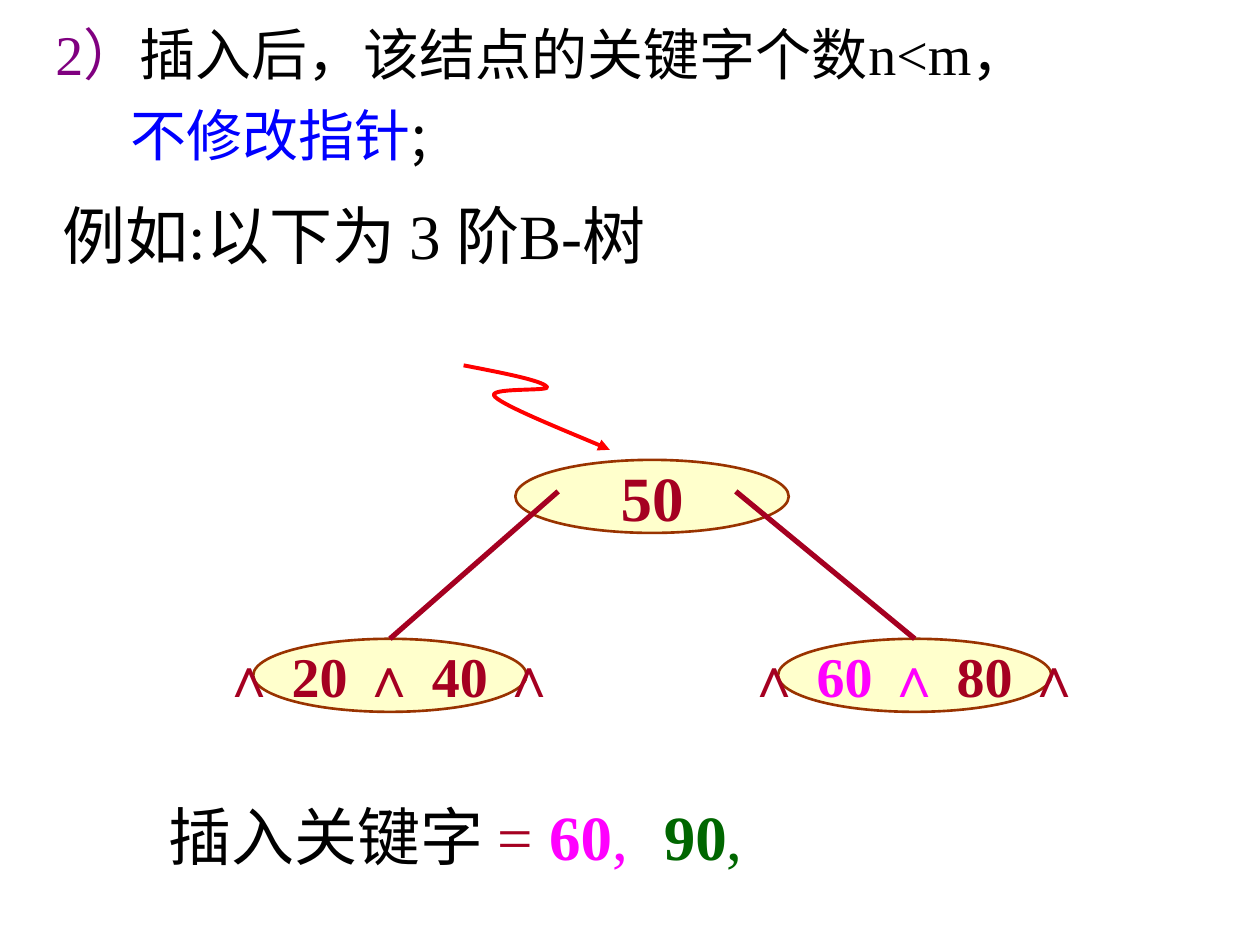
"""Build the slide on inserting a key into a B-tree of order 3."""
from dataclasses import dataclass

from lxml.etree import SubElement
from pptx import Presentation
from pptx.dml.color import RGBColor as Rgb
from pptx.enum.shapes import MSO_CONNECTOR as Link, MSO_SHAPE as Kind
from pptx.enum.text import MSO_ANCHOR as Anchor, MSO_AUTO_SIZE as Fit, PP_ALIGN as Align
from pptx.oxml.ns import qn
from pptx.util import Inches, Pt


@dataclass(frozen=True)
class Theme:
    ink: str = "000000"
    key: str = "A50021"
    new: str = "FF00FF"
    next: str = "006600"
    mark: str = "800080"
    note: str = "0000FF"
    node: str = "FFFFCC"
    rim: str = "993300"
    arrow: str = "FF0000"
    big: int = 36
    mid: int = 32
    latin: str = "Times New Roman"
    asian: str = "Noto Sans CJK SC"


def write(para, text, size, color, latin, asian, bold=False):
    run = para.add_run()
    run.text = text
    font = run.font
    font.size, font.bold, font.name = Pt(size), bold, latin
    font.color.rgb = Rgb.from_string(color)
    SubElement(font._element, qn("a:ea")).set("typeface", asian)


class Board:
    """Draw styled elements on one slide, on a grid of 100 columns and 75 rows."""

    def __init__(self, deck, theme):
        self.theme = theme
        self.cell = deck.slide_width / 100
        self.shapes = deck.slides.add_slide(deck.slide_layouts[6]).shapes

    def grid(self, *spans):
        return [round(span * self.cell) for span in spans]

    def fill(self, para, runs, size):
        for text, color, *more in runs:
            style = {"latin": self.theme.latin, **(more[0] if more else {})}
            write(para, text, size, color, asian=self.theme.asian, **style)

    def text(self, area, lines, size, wrap=False, gap=None, indent=0):
        frame = self.shapes.add_textbox(*self.grid(*area)).text_frame
        frame.word_wrap, frame.auto_size = wrap, Fit.SHAPE_TO_FIT_TEXT
        for row, runs in enumerate(lines):
            para = frame.add_paragraph() if row else frame.paragraphs[0]
            para.line_spacing = gap
            if row and indent:
                para._p.get_or_add_pPr().set("marL", str(self.grid(indent)[0]))
            self.fill(para, runs, size)

    def node(self, mid, top, runs, size, wide=21.7, high=5.8):
        oval = self.shapes.add_shape(Kind.OVAL, *self.grid(mid - wide / 2, top, wide, high))
        oval.shadow.inherit = False
        oval.fill.solid()
        oval.fill.fore_color.rgb = Rgb.from_string(self.theme.node)
        self.stroke(oval.line, self.theme.rim, 1.5)
        frame = oval.text_frame
        frame.word_wrap, frame.vertical_anchor = False, Anchor.MIDDLE
        frame.paragraphs[0].alignment = Align.CENTER
        self.fill(frame.paragraphs[0], runs, size)
        return oval

    def stroke(self, line, color, width):
        line.color.rgb = Rgb.from_string(color)
        line.width = Pt(width)

    def edge(self, start, child):
        ends = self.grid(*start, *start)
        link = self.shapes.add_connector(Link.STRAIGHT, *ends)
        link.end_connect(child, 0)
        self.stroke(link.line, self.theme.key, 3)
        SubElement(link._element.spPr, qn("a:effectLst"))

    def curve(self, start, points):
        pen = self.shapes.build_freeform(*self.grid(*start))
        pen.add_line_segments([self.grid(*point) for point in points], close=False)
        form = pen.convert_to_shape()
        form.shadow.inherit = False
        form.fill.background()
        self.stroke(form.line, self.theme.arrow, 2.25)
        SubElement(form.line._get_or_add_ln(), qn("a:tailEnd")).set("type", "triangle")
        track = next(form._element.iter(qn("a:path")))
        steps = track.findall(qn("a:lnTo"))
        for first in range(0, len(steps), 3):
            bend = SubElement(track, qn("a:cubicBezTo"))
            for step in steps[first:first + 3]:
                bend.append(step[0])
                track.remove(step)


def main():
    deck = Presentation()
    deck.slide_width, deck.slide_height = Inches(10), Inches(7.5)
    look = Theme()
    board = Board(deck, look)
    bold = {"bold": True}

    board.text((4, 15.1, 48.4, 7), [[("例如:以下为 3 阶B-树", look.ink)]], look.big, wrap=True)
    board.node(51.75, 36.5, [("50", look.key, bold)], look.big)
    left = board.node(30.95, 50.7, [("∧ 20 ∧ 40 ∧", look.key, bold)], look.mid)
    right = board.node(72.6, 50.7, [
        ("∧ ", look.key, bold), ("60 ∧", look.new, bold), (" 80 ∧", look.key, bold)], look.mid)
    board.edge((44.3, 39), left)
    board.edge((58.4, 39), right)
    board.curve((36.8, 29), [
        (39.9, 29.6), (43, 30.2), (43.4, 30.7),
        (43.9, 31.1), (38.4, 30.7), (39.3, 31.5),
        (40.1, 32.3), (46.9, 35), (48.4, 35.7)])
    board.text((12.4, 62.8, 39.8, 7), [[
        ("插入关键字 ", look.ink), ("= ", look.key),
        ("60", look.new, bold), (",", look.new)]], look.big)
    board.text((3.4, 0, 93.2, 13.8), [
        [("2）", look.mark), ("插入后，该结点的关键字个数n<m，", look.ink)],
        [("不修改指针", look.note), (";", look.ink, {"latin": look.asian})],
    ], look.mid, wrap=True, gap=1.2, indent=6)
    board.text((51.7, 62.8, 8.3, 7), [[("90", look.next, bold), (",", look.next)]], look.big)
    deck.save("out.pptx")


if __name__ == "__main__":
    main()
